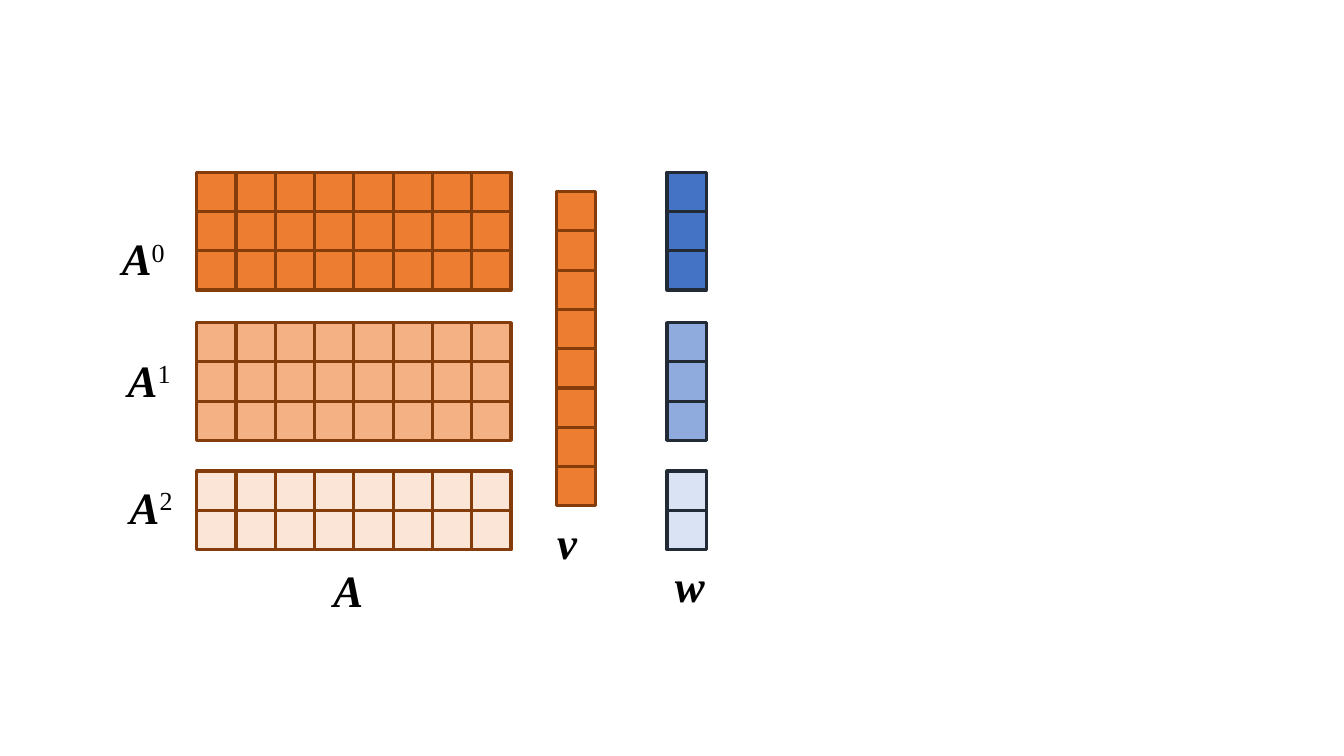
from dataclasses import dataclass

from pptx import Presentation
from pptx.dml.color import RGBColor
from pptx.enum.shapes import MSO_SHAPE
from pptx.enum.text import MSO_AUTO_SIZE
from pptx.util import Cm, Pt

RECT = MSO_SHAPE.RECTANGLE
GROW = MSO_AUTO_SIZE.SHAPE_TO_FIT_TEXT


@dataclass(frozen=True)
class Theme:
    font: str = "Times New Roman"
    size: float = 32
    edge: float = 2.25
    ink: str = "000000"
    brown: str = "843C0B"
    navy: str = "222A35"
    orange: tuple = ("ED7D31", "F4B183", "FBE5D6")
    blue: tuple = ("4472C4", "8FAADC", "DAE3F3")


THEME = Theme()
CELL = 0.99
COLS = 8
A_LEFT, V_LEFT, W_LEFT = 4.96, 14.02, 16.81
V_TOP = 4.83
BANDS = [(4.34, 3), (8.13, 3), (11.87, 2)]
LABELS = [
    ("A", "0", 2.82, 5.69),
    ("A", "1", 2.97, 8.76),
    ("A", "2", 3.02, 11.96),
    ("A", "", 8.15, 14.05),
    ("v", "", 13.79, 12.85),
    ("w", "", 16.76, 13.94),
]


def add_grid(slide, left, top, rows, cols, fill, edge):
    group = slide.shapes.add_group_shape()
    for row in range(rows):
        for col in range(cols):
            cell = group.shapes.add_shape(
                RECT, Cm(left + col * CELL), Cm(top + row * CELL), Cm(CELL), Cm(CELL))
            cell.shadow.inherit = False
            cell.fill.solid()
            cell.fill.fore_color.rgb = RGBColor.from_string(fill)
            cell.line.color.rgb = RGBColor.from_string(edge)
            cell.line.width = Pt(THEME.edge)


def add_label(slide, name, power, left, top):
    width = 1.65 if power else 1.24
    box = slide.shapes.add_textbox(Cm(left), Cm(top), Cm(width), Cm(1.63))
    frame = box.text_frame
    frame.word_wrap = True
    frame.auto_size = GROW
    for text in filter(None, (name, power)):
        run = frame.paragraphs[0].add_run()
        run.text = text
        font = run.font
        font.name = THEME.font
        font.size = Pt(THEME.size)
        font.color.rgb = RGBColor.from_string(THEME.ink)
        font.bold = font.italic = text == name
        if text == power:
            run._r.get_or_add_rPr().set("baseline", "30000")


def main():
    deck = Presentation()
    deck.slide_width, deck.slide_height = Cm(33.87), Cm(19.05)
    slide = deck.slides.add_slide(deck.slide_layouts[6])
    for (top, rows), warm, cool in zip(BANDS, THEME.orange, THEME.blue):
        add_grid(slide, A_LEFT, top, rows, COLS, warm, THEME.brown)
        add_grid(slide, W_LEFT, top, rows, 1, cool, THEME.navy)
    add_grid(slide, V_LEFT, V_TOP, COLS, 1, THEME.orange[0], THEME.brown)
    for label in LABELS:
        add_label(slide, *label)
    deck.save("out.pptx")


if __name__ == "__main__":
    main()
